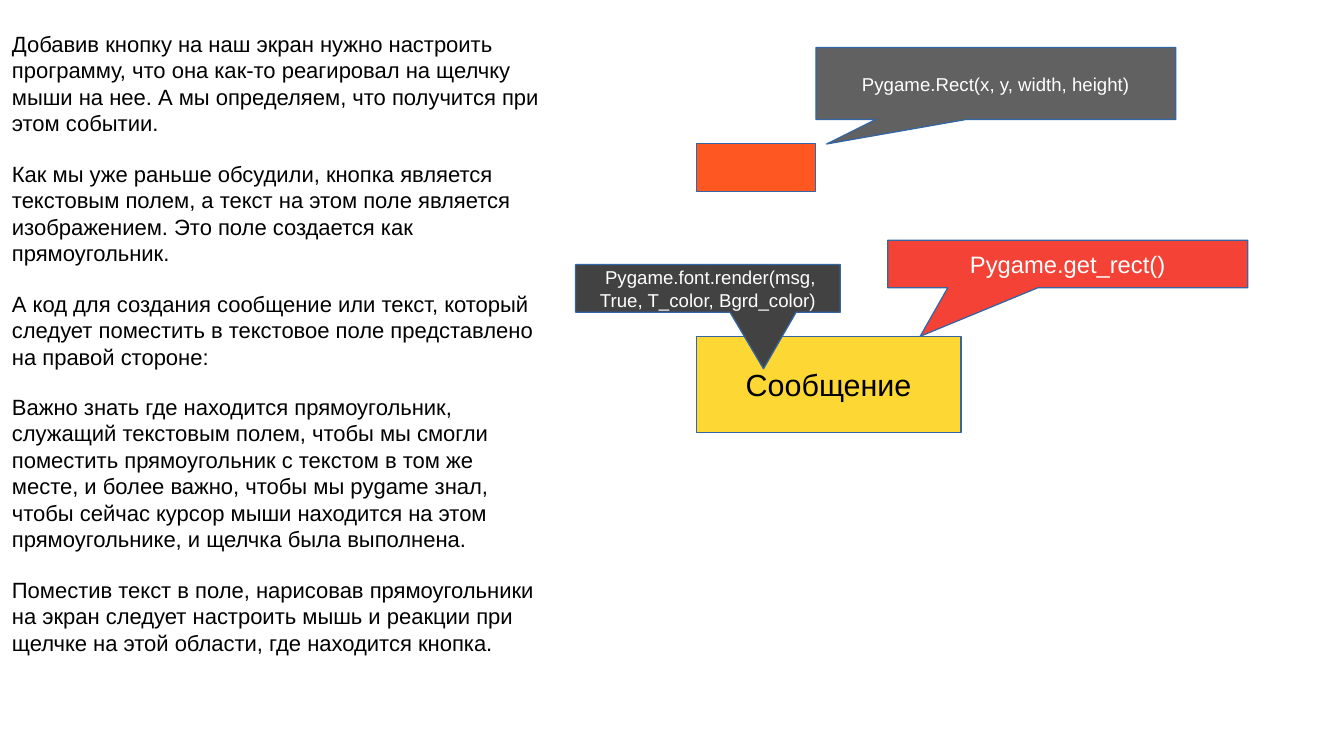
"""Build the slide on handling clicks on a pygame button."""
from pptx import Presentation
from pptx import util as u
from pptx.dml.color import RGBColor
from pptx.enum import shapes, text

COLORS = {"black": "000000", "white": "FFFFFF", "orange": "FF5722", "gray": "616161",
          "yellow": "FDD835", "dark": "424242", "red": "F44336", "line": "3465A4"}
RECT = shapes.MSO_SHAPE.RECTANGLE
CALLOUT = shapes.MSO_SHAPE.RECTANGULAR_CALLOUT

NOTES = [
    "Добавив кнопку на наш экран нужно настроить программу, что она как-то реагировал на щелчку мыши на нее. "
    "А мы определяем, что получится при этом событии.",
    "Как мы уже раньше обсудили, кнопка является текстовым полем, а текст на этом поле является изображением. "
    "Это поле создается как прямоугольник.",
    "А код для создания сообщение или текст, который следует поместить в текстовое поле представлено "
    "на правой стороне:",
    "Важно знать где находится прямоугольник, служащий текстовым полем, чтобы мы смогли поместить прямоугольник "
    "с текстом в том же месте, и более важно, чтобы мы pygame знал, чтобы сейчас курсор мыши находится на этом "
    "прямоугольнике, и щелчка была выполнена.",
    "Поместив текст в поле, нарисовав прямоугольники на экран следует настроить мышь и реакции при щелчке "
    "на этой области, где находится кнопка.",
]

BOXES = [
    (RECT, (5.71, 1.18, 0.98, 0.39), (), "orange", "", 11, "white"),
    (CALLOUT, (6.69, 0.39, 2.95, 0.59), (-0.47, 0.84), "gray", "Pygame.Rect(x, y, width, height)", 11, "white"),
    (RECT, (5.71, 2.76, 2.17, 0.79), (), "yellow", "Сообщение", 18, "black"),
    (CALLOUT, (4.72, 2.17, 2.17, 0.39), (0.21, 1.69), "dark",
     " Pygame.font.render(msg, True, T_color, Bgrd_color)", 11, "white"),
    (CALLOUT, (7.28, 1.97, 2.95, 0.39), (-0.41, 1.52), "red", "Pygame.get_rect()", 14, "white"),
]


def rgb(name):
    return RGBColor.from_string(COLORS[name])


def add_run(p, words, size, color):
    r = p.add_run()
    r.text = words
    r.font.name = "Arial"
    r.font.size = u.Pt(size)
    r.font.color.rgb = rgb(color)


prs = Presentation()
prs.slide_width, prs.slide_height = u.Inches(11.02), u.Inches(6.2)
s = prs.slides.add_slide(prs.slide_layouts[6])

tf = s.shapes.add_textbox(u.Inches(0), u.Inches(0.2), u.Inches(4.53), u.Inches(5.91)).text_frame
tf.word_wrap = True
for i, note in enumerate(NOTES):
    p = tf.add_paragraph() if i else tf.paragraphs[0]
    p.space_before = u.Pt(14.2 if i else 0)
    add_run(p, note, 13, "black")

for kind, box, tip, fill, words, size, color in BOXES:
    sp = s.shapes.add_shape(kind, *[u.Inches(v) for v in box])
    sp.shadow.inherit = False
    sp.fill.solid()
    sp.fill.fore_color.rgb = rgb(fill)
    sp.line.color.rgb = rgb("line")
    sp.line.width = u.Pt(0)
    for i, offset in enumerate(tip):
        sp.adjustments[i] = offset
    if words:
        tf = sp.text_frame
        tf.word_wrap = True
        tf.vertical_anchor = text.MSO_ANCHOR.MIDDLE
        p = tf.paragraphs[0]
        p.alignment = text.PP_ALIGN.CENTER
        add_run(p, words, size, color)

prs.save("out.pptx")
